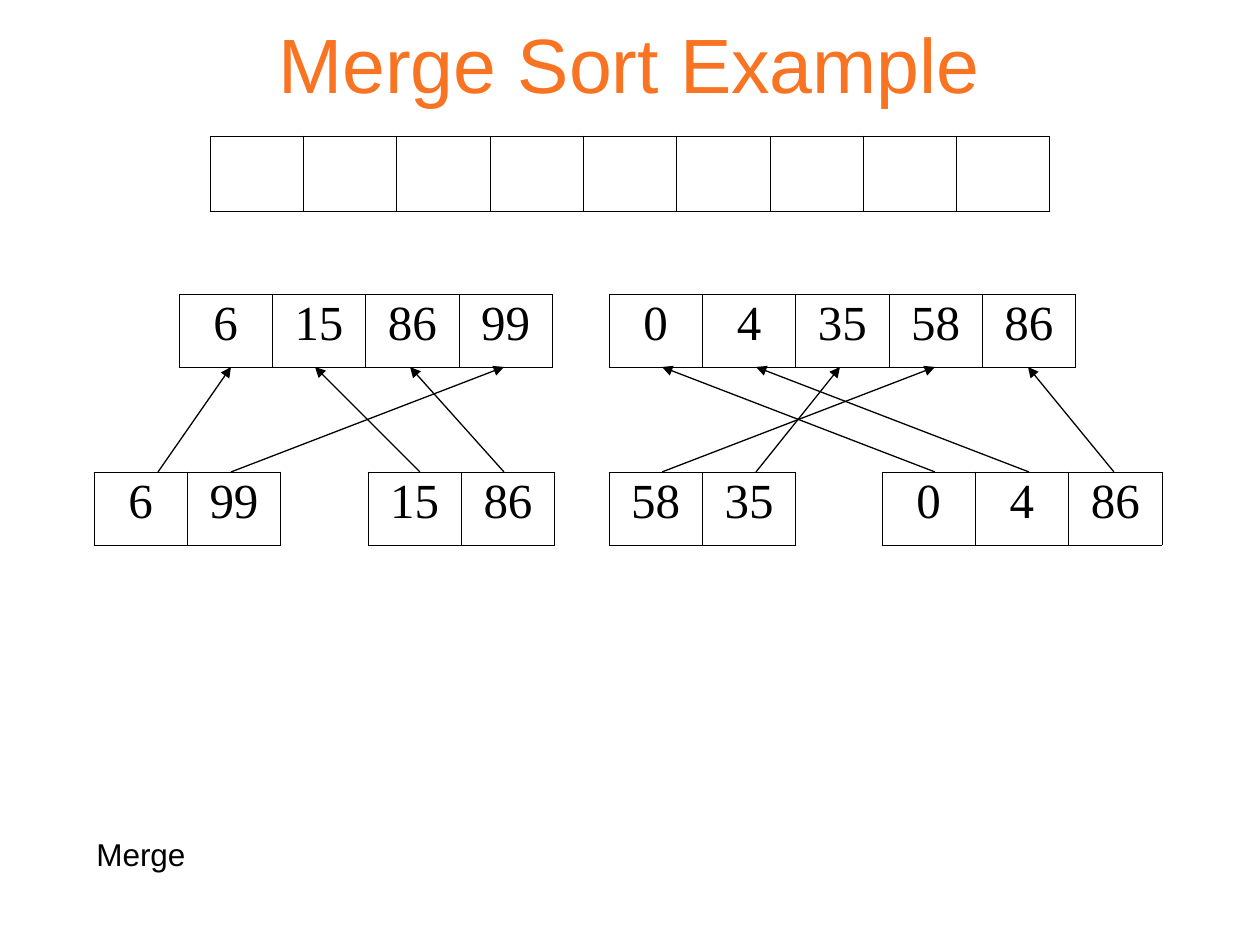
from lxml.etree import SubElement
from pptx import Presentation
from pptx.dml.color import RGBColor
from pptx.enum.shapes import MSO_CONNECTOR
from pptx.enum.text import MSO_ANCHOR, MSO_AUTO_SIZE, PP_ALIGN
from pptx.oxml.ns import qn
from pptx.util import Emu, Pt

PX_PER_INCH = 126
BLACK = RGBColor(0x00, 0x00, 0x00)
ORANGE = RGBColor(0xF8, 0x74, 0x22)
THREE_CELLS = 280
CELL_HEIGHT = 73
MERGED_TOP = 294
SPLIT_TOP = 472
ARROW_END = 367

MERGED_ARRAYS = [(179, ["6", "15", "86", "99"]), (609, ["0", "4", "35", "58", "86"])]
SPLIT_ARRAYS = [
    (368, ["15", "86"]),
    (94, ["6", "99"]),
    (609, ["58", "35"]),
    (882, ["0", "4", "86"]),
]
ARROWS = [
    (158, 231), (420, 315), (231, 504), (504, 410), (662, 935),
    (935, 662), (1029, 756), (756, 840), (1114, 1028),
]


def px(length):
    """Turn pixels into EMU."""
    return Emu(round(length * 914400 / PX_PER_INCH))


def format_text(para, font_name, size, color):
    """Set the font of every run in a paragraph."""
    for span in para.runs:
        span.font.name = font_name
        span.font.size = Pt(size)
        span.font.color.rgb = color


def add_label(page, box, text, size, color):
    """Add a wrapping Arial text box and return its text frame."""
    text_frame = page.shapes.add_textbox(*map(px, box)).text_frame
    text_frame.word_wrap = True
    text_frame.text = text
    format_text(text_frame.paragraphs[0], "Arial", size, color)
    return text_frame


def add_title(page, box):
    """Add the centred heading."""
    text_frame = add_label(page, box, "Merge Sort Example", 44, ORANGE)
    text_frame.vertical_anchor = MSO_ANCHOR.MIDDLE
    text_frame.paragraphs[0].alignment = PP_ALIGN.CENTER


def add_caption(page, box):
    """Add the name of the current step."""
    text_frame = add_label(page, box, "Merge", 18, BLACK)
    text_frame.auto_size = MSO_AUTO_SIZE.SHAPE_TO_FIT_TEXT
    text_frame.paragraphs[0].space_before = Pt(11.2)


def set_borders(cell, widths):
    """Draw black cell borders from a mapping of side to points."""
    properties = cell._tc.get_or_add_tcPr()
    for position, (side, width) in enumerate(widths.items()):
        line = properties.makeelement(qn(f"a:{side}"), {"w": str(Pt(width))})
        fill = SubElement(line, qn("a:solidFill"))
        SubElement(fill, qn("a:srgbClr"), val=str(BLACK))
        properties.insert(position, line)


def add_array(page, left, top, values, height=CELL_HEIGHT):
    """Add a one-row table with one cell for each value."""
    count = len(values)
    width = px(THREE_CELLS * count / 3)
    frame = page.shapes.add_table(1, count, px(left), px(top), width, px(height))
    table = frame.table
    table.first_row = table.horz_banding = False
    for index, value in enumerate(values):
        table.columns[index].width = px(THREE_CELLS / 3)
        cell = table.cell(0, index)
        cell.fill.background()
        set_borders(cell, {
            "lnL": 0.5 if index == 0 else 0.23,
            "lnR": 0.5 if index == count - 1 else 0.23,
            "lnT": 0.5,
            "lnB": 0.5,
        })
        if value:
            cell.text_frame.text = value
            para = cell.text_frame.paragraphs[0]
            para.alignment = PP_ALIGN.CENTER
            para.line_spacing = 0.93
            para.space_before = Pt(7)
            format_text(para, "Times New Roman", 28, BLACK)


def add_arrow(page, start_x, end_x):
    """Add an arrow from a split array up to a merged array."""
    ends = map(px, (start_x, SPLIT_TOP, end_x, ARROW_END))
    arrow = page.shapes.add_connector(MSO_CONNECTOR.STRAIGHT, *ends)
    arrow.line.color.rgb = BLACK
    arrow.line.width = Pt(0.75)
    SubElement(arrow.line._get_or_add_ln(), qn("a:tailEnd"), type="triangle")
    SubElement(arrow._element.spPr, qn("a:effectLst"))


def build_merge_page(page):
    """Place the heading, arrays, caption and arrows."""
    add_title(page, (94, 0, 1071, 126))
    add_array(page, 210, 136, [""] * 9, 75)
    for left, values in MERGED_ARRAYS:
        add_array(page, left, MERGED_TOP, values)
    for left, values in SPLIT_ARRAYS:
        add_array(page, left, SPLIT_TOP, values)
    add_caption(page, (84, 829, 640, 50))
    for start_x, end_x in ARROWS:
        add_arrow(page, start_x, end_x)


def main():
    """Build and save the deck."""
    deck = Presentation()
    deck.slide_width, deck.slide_height = px(1260), px(945)
    build_merge_page(deck.slides.add_slide(deck.slide_layouts[6]))
    deck.save("out.pptx")


if __name__ == "__main__":
    main()
